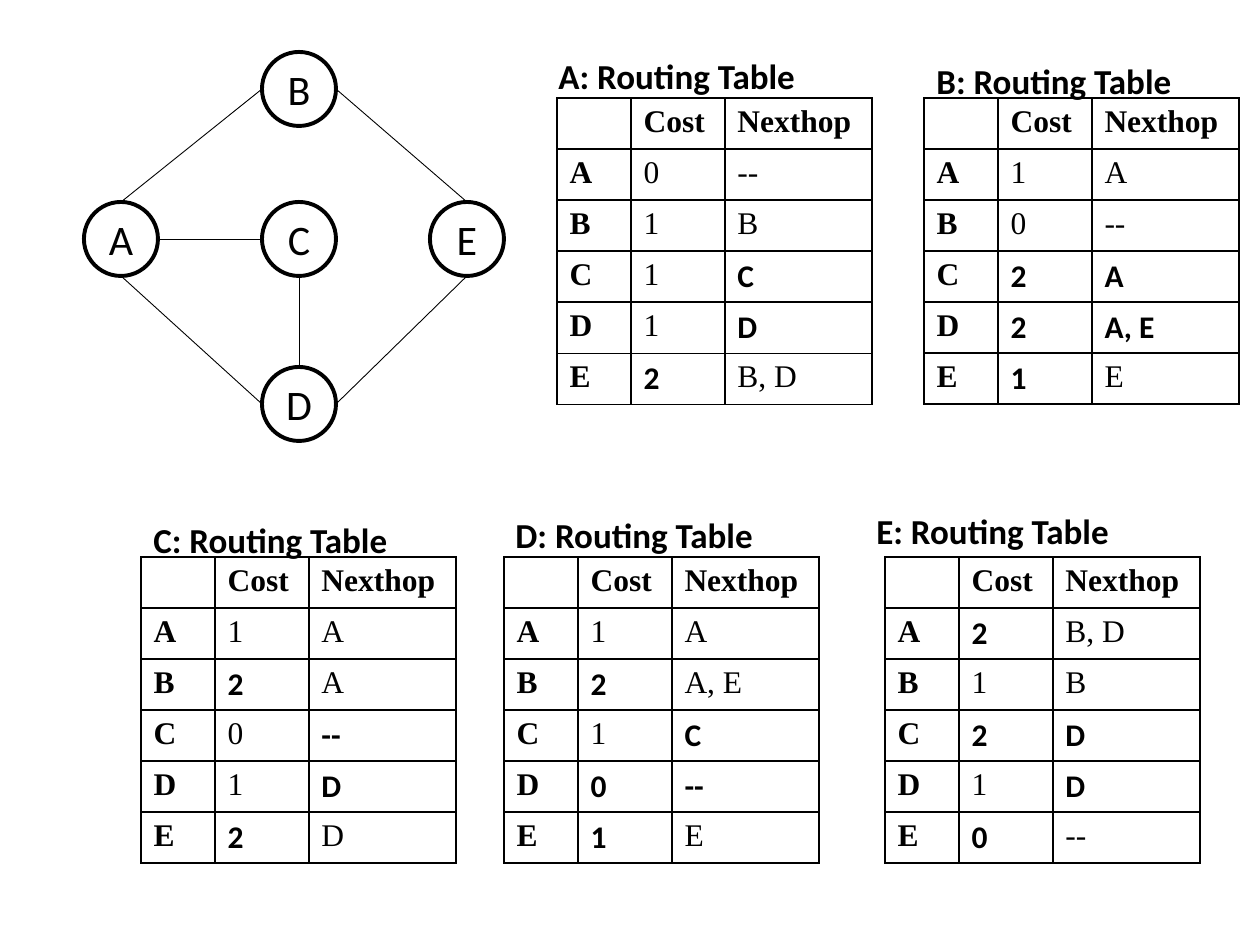
from lxml.etree import SubElement
from pptx import Presentation
from pptx.dml.color import RGBColor
from pptx.enum.shapes import MSO_CONNECTOR, MSO_SHAPE
from pptx.enum.text import MSO_ANCHOR, MSO_AUTO_SIZE, PP_ALIGN
from pptx.oxml import parse_xml
from pptx.oxml.ns import nsdecls, qn
from pptx.util import Emu, Pt

SCALE = 914400 / 126
COLORS = {"ink": "000000", "paper": "FFFFFF"}
SANS, SERIF = "Calibri", "Times New Roman"
SIZE = 74
COLS = (74, 94, 147)
ROW = 51
HEAD = ("", "Cost", "Nexthop")


def px(n):
    return Emu(round(n * SCALE))


def color(name):
    return RGBColor.from_string(COLORS[name])


class Board:
    def __init__(self, slide):
        self.slide = slide
        self.shapes = slide.shapes

    def add_text(self, para, text, size, font, bold=False):
        run = para.add_run()
        run.text = text
        run.font.size = Pt(size)
        run.font.name = font
        run.font.bold = bold
        run.font.color.rgb = color("ink")

    def node(self, name, x, y):
        disc = self.shapes.add_shape(MSO_SHAPE.OVAL, px(x), px(y), px(SIZE), px(SIZE))
        disc.shadow.inherit = False
        disc.fill.solid()
        disc.fill.fore_color.rgb = color("paper")
        disc.line.color.rgb = color("ink")
        disc.line.width = Pt(2.25)
        frame = disc.text_frame
        frame.word_wrap = False
        frame.vertical_anchor = MSO_ANCHOR.MIDDLE
        para = frame.paragraphs[0]
        para.alignment = PP_ALIGN.CENTER
        self.add_text(para, name, 24, SANS)

    def link(self, start, end):
        line = self.shapes.add_connector(MSO_CONNECTOR.STRAIGHT, *map(px, start + end))
        line.line.color.rgb = color("ink")
        line.line.width = Pt(0.5)
        SubElement(line._element.spPr, qn("a:effectLst"))

    def title(self, text, x, y):
        box = self.shapes.add_textbox(px(x), px(y), px(284), px(55))
        frame = box.text_frame
        frame.word_wrap = True
        frame.auto_size = MSO_AUTO_SIZE.SHAPE_TO_FIT_TEXT
        self.add_text(frame.paragraphs[0], text, 20, SANS, True)

    def border(self, cell):
        props = cell._tc.get_or_add_tcPr()
        for i, side in enumerate("LRTB"):
            props.insert(i, parse_xml(
                f'<a:ln{side} {nsdecls("a")} w="12700"><a:solidFill>'
                f'<a:srgbClr val="{COLORS["ink"]}"/></a:solidFill></a:ln{side}>'))

    def table(self, rows, x, y):
        grid = self.shapes.add_table(
            len(rows), len(COLS), px(x), px(y), px(sum(COLS)), px(ROW * len(rows))).table
        grid.first_row = grid.horz_banding = False
        for col, width in zip(grid.columns, COLS):
            col.width = px(width)
        for r, row in enumerate(rows):
            grid.rows[r].height = px(ROW)
            for c, text in enumerate(row):
                cell = grid.cell(r, c)
                cell.fill.background()
                self.border(cell)
                if text:
                    new = text.startswith("*")
                    bold = new or r == 0 or c == 0
                    font = SANS if new else SERIF
                    self.add_text(cell.text_frame.paragraphs[0], text.lstrip("*"), 18, font, bold)


NODES = {"A": (84, 202), "B": (262, 52), "C": (262, 202), "D": (262, 367), "E": (430, 202)}
SIDES = {"top": (0.5, 0), "left": (0, 0.5), "bottom": (0.5, 1), "right": (1, 0.5)}
LINKS = (
    ("A", "top", "B", "left"),
    ("A", "right", "C", "left"),
    ("B", "right", "E", "top"),
    ("A", "bottom", "D", "left"),
    ("C", "bottom", "D", "top"),
    ("D", "right", "E", "bottom"),
)
ROUTES = {
    "A": ((546, 48), (557, 98), ("0", "1", "1", "1", "*2"), ("--", "B", "*C", "*D", "B, D")),
    "E": ((864, 503), (885, 557), ("*2", "1", "*2", "1", "*0"), ("B, D", "B", "*D", "*D", "--")),
    "D": ((503, 507), (504, 557), ("1", "*2", "1", "*0", "*1"), ("A", "A, E", "*C", "*--", "E")),
    "C": ((141, 512), (141, 557), ("1", "*2", "0", "1", "*2"), ("A", "A", "*--", "*D", "D")),
    "B": ((924, 53), (924, 98), ("1", "0", "*2", "*2", "*1"), ("A", "--", "*A", "*A, E", "E")),
}


def spot(name, side):
    return tuple(n + SIZE * part for n, part in zip(NODES[name], SIDES[side]))


def main():
    deck = Presentation()
    deck.slide_width, deck.slide_height = px(1260), px(945)
    board = Board(deck.slides.add_slide(deck.slide_layouts[6]))
    for name, place in NODES.items():
        board.node(name, *place)
    for a, start, b, end in LINKS:
        board.link(spot(a, start), spot(b, end))
    for name, (head, place, costs, hops) in ROUTES.items():
        board.table([HEAD, *zip(NODES, costs, hops)], *place)
        board.title(f"{name}: Routing Table", *head)
    deck.save("out.pptx")


if __name__ == "__main__":
    main()
